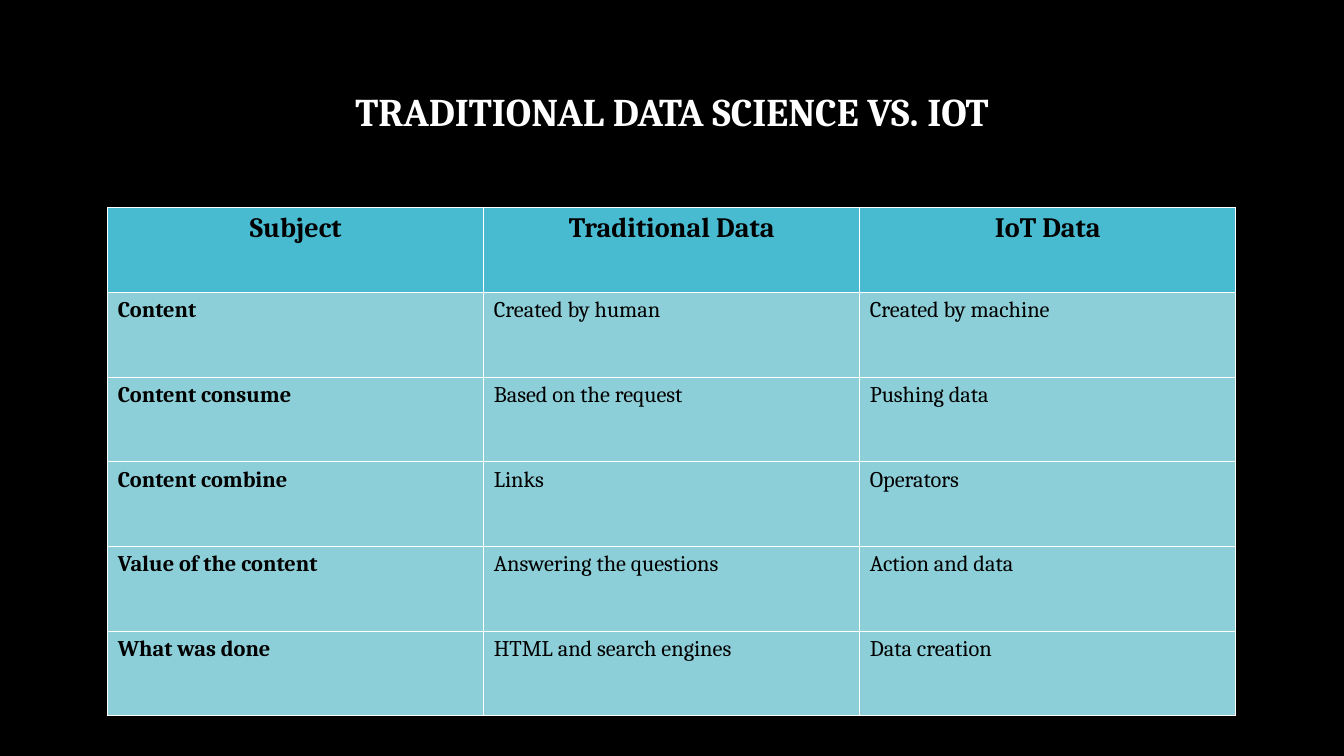
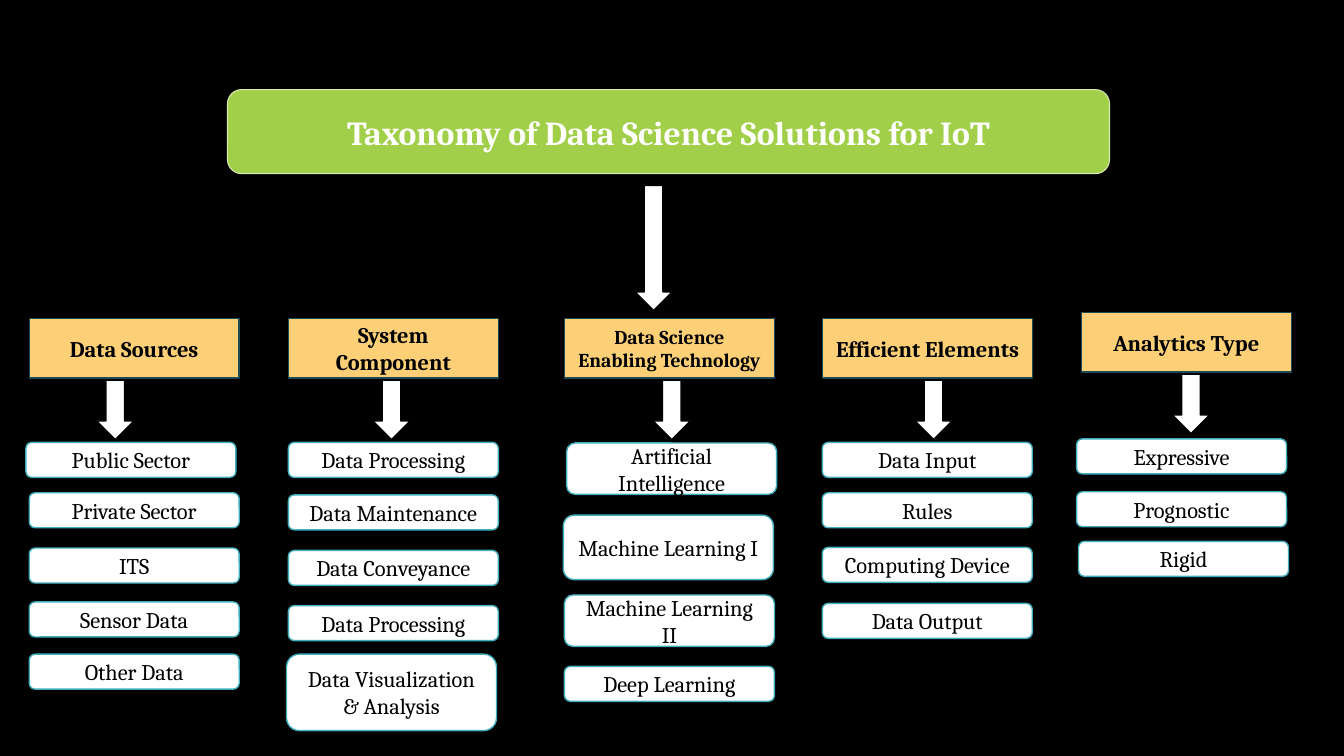
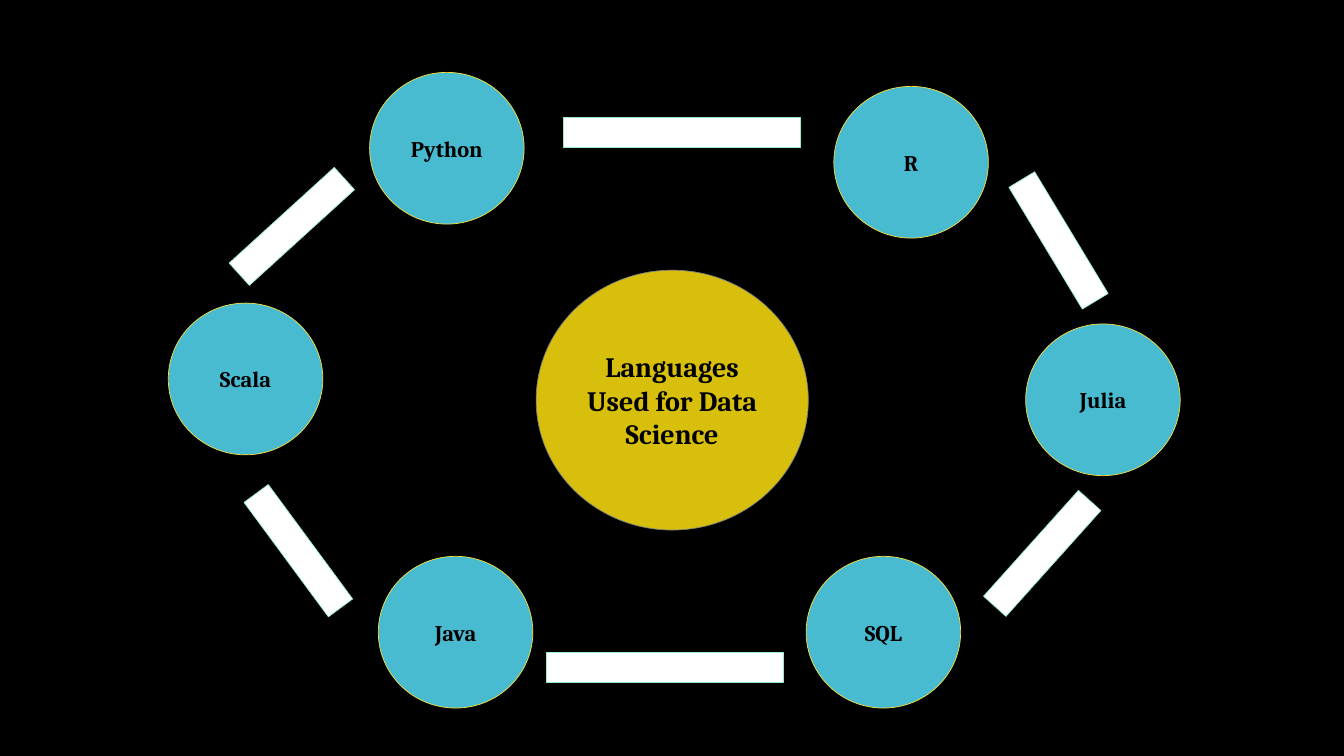
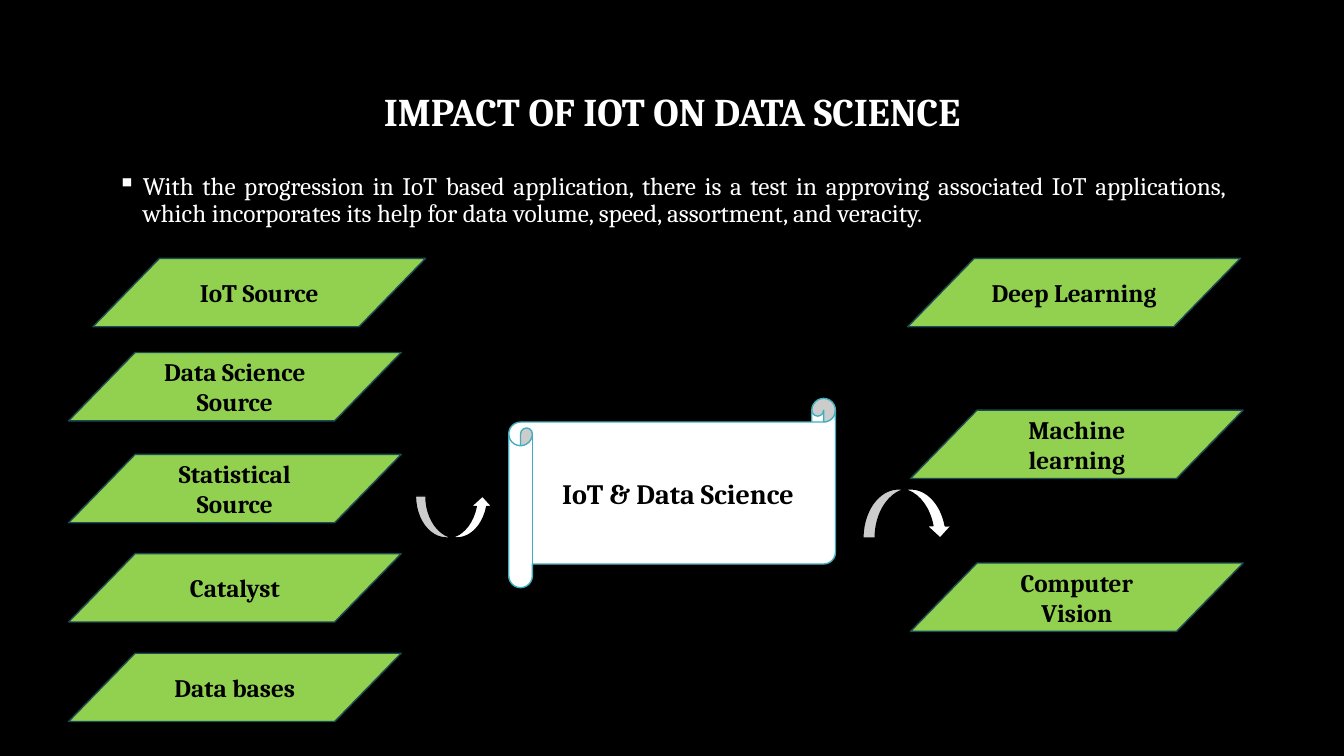
"""Build four slides on data science and the Internet of Things."""
from lxml.etree import SubElement
from pptx import Presentation
from pptx.dml.color import RGBColor
from pptx.enum.shapes import MSO_SHAPE as Shape
from pptx.enum.text import MSO_ANCHOR as Anchor, PP_ALIGN as Align
from pptx.oxml.ns import qn
from pptx.util import Pt

FONT = "Cambria"
BLACK, WHITE = "000000", "FFFFFF"
AQUA, PALE_AQUA, TEAL, DARK_TEAL = "49BBD1", "8DCFD8", "41AEBD", "1C4C53"
GREEN, PALE_GREEN, LIME, ORANGE = "A2CF49", "DAECB6", "92D050", "FDD077"
GOLD, YELLOW, GREY, MINT = "D7BF0C", "F4DE3A", "808080", "97E9D5"
rgb = RGBColor.from_string


def write_text(frame, text, size=16, color=BLACK, bold=False, align=Align.CENTER,
               anchor=Anchor.MIDDLE, spacing=None):
    frame.word_wrap = True
    if anchor is not None:
        frame.vertical_anchor = anchor
    paragraph = frame.paragraphs[0]
    paragraph.alignment = align
    paragraph.line_spacing = spacing
    run = paragraph.add_run()
    run.text = text
    run.font.name = FONT
    run.font.size = Pt(size)
    run.font.bold = bold
    run.font.color.rgb = rgb(color)
    return paragraph


def draw_shape(slide, kind, box, fill, line, width=1, text=None, rotation=0, **style):
    shape = slide.shapes.add_shape(kind, *map(Pt, box))
    shape.shadow.inherit = False
    shape.rotation = rotation
    shape.fill.solid()
    shape.fill.fore_color.rgb = rgb(fill)
    shape.line.color.rgb = rgb(line)
    shape.line.width = Pt(width)
    if text:
        write_text(shape.text_frame, text, **style)


presentation = Presentation()
presentation.slide_width, presentation.slide_height = Pt(960), Pt(540)
background = presentation.slide_master.background.fill
background.solid()
background.fore_color.rgb = rgb(BLACK)
blank = presentation.slide_layouts[6]
comparison, taxonomy, languages, impact = [presentation.slides.add_slide(blank) for _ in range(4)]

for slide, title in [(comparison, "TRADITIONAL DATA SCIENCE VS. IOT"),
                     (impact, "IMPACT OF IOT ON DATA SCIENCE")]:
    title_box = slide.shapes.add_textbox(Pt(66), Pt(29), Pt(828), Pt(104))
    write_text(title_box.text_frame, title, size=28, color=WHITE, bold=True, spacing=0.9)

rows = [
    ("Subject", "Traditional Data", "IoT Data"),
    ("Content", "Created by human", "Created by machine"),
    ("Content consume", "Based on the request", "Pushing data"),
    ("Content combine", "Links", "Operators"),
    ("Value of the content", "Answering the questions", "Action and data"),
    ("What was done", "HTML and search engines", "Data creation"),
]
table = comparison.shapes.add_table(6, 3, Pt(77), Pt(148.4), Pt(805.8), Pt(363)).table
for row_number, row in enumerate(rows):
    header = row_number == 0
    for column_number, text in enumerate(row):
        cell = table.cell(row_number, column_number)
        properties = cell._tc.get_or_add_tcPr()
        for side in ("a:lnL", "a:lnR", "a:lnT", "a:lnB"):
            border = SubElement(properties, qn(side), w=str(Pt(1)))
            SubElement(SubElement(border, qn("a:solidFill")), qn("a:srgbClr"), val=WHITE)
        cell.fill.solid()
        cell.fill.fore_color.rgb = rgb(AQUA if header else PALE_AQUA)
        write_text(cell.text_frame, text, size=20 if header else 16,
                   bold=header or column_number == 0,
                   align=Align.CENTER if header else Align.LEFT, anchor=None)

draw_shape(taxonomy, Shape.ROUNDED_RECTANGLE, (162.5, 64, 630, 60), GREEN, PALE_GREEN, 0.75,
           "Taxonomy of Data Science Solutions for IoT", size=24, color=WHITE, bold=True)
draw_shape(taxonomy, Shape.DOWN_ARROW, (453.6, 132.5, 26.6, 89.3), WHITE, BLACK)
branches = [
    ("Data Sources", 16, 20.9, 227.5, 69.1, [
        ("Public Sector", 18.5, 316, 25), ("Private Sector", 20.9, 352, 25),
        ("ITS", 20.9, 391.5, 25), ("Sensor Data", 20.9, 430, 25),
        ("Other Data", 20.9, 467.3, 25)]),
    ("System Component", 16, 206, 227.5, 266.4, [
        ("Data Processing", 206, 316, 25), ("Data Maintenance", 206, 353.5, 25),
        ("Data Conveyance", 206, 393.2, 25), ("Data Processing", 206, 432.6, 25),
        ("Data Visualization & Analysis", 204.7, 467.3, 54.6)]),
    ("Data Science Enabling Technology", 14, 403.2, 227.5, 466.6, [
        ("Artificial Intelligence", 404.8, 316.4, 36.7), ("Machine Learning I", 402.4, 368, 46),
        ("Machine Learning II", 403.2, 425, 36.7), ("Deep Learning", 403.2, 476, 25)]),
    ("Efficient Elements", 16, 587.6, 227.5, 653.6, [
        ("Data Input", 587.4, 316, 25), ("Rules", 587.4, 352, 25),
        ("Computing Device", 587.4, 391, 25), ("Data Output", 587.4, 431, 25)]),
    ("Analytics Type", 16, 772.4, 223.2, 837.4, [
        ("Expressive", 769, 313.5, 25), ("Prognostic", 769, 351.3, 25),
        ("Rigid", 770.4, 386.7, 25)]),
]
for heading, size, left, top, arrow_left, items in branches:
    draw_shape(taxonomy, Shape.RECTANGLE, (left, top, 150, 42.5), ORANGE, DARK_TEAL,
               text=heading, size=size, bold=True)
    draw_shape(taxonomy, Shape.DOWN_ARROW, (arrow_left, top + 44, 26.6, 42.5), WHITE, BLACK)
    for item, item_left, item_top, height in items:
        draw_shape(taxonomy, Shape.ROUNDED_RECTANGLE, (item_left, item_top, 150, height),
                   WHITE, TEAL, text=item)

draw_shape(languages, Shape.OVAL, (383, 193, 194.4, 185.6), GOLD, GREY, 0.5,
           "Languages Used for Data Science", size=20, bold=True)
for name, left, top in [("Python", 264, 51.7), ("R", 595.6, 61.7), ("Julia", 732.6, 231.4),
                        ("SQL", 575.8, 397.4), ("Java", 270.2, 397.4), ("Scala", 120.2, 216.5)]:
    draw_shape(languages, Shape.OVAL, (left, top, 110.4, 108.4), AQUA, YELLOW, 0.5,
               name, bold=True)
for left, top, width, rotation in [(371.6, 48.8, 230.4, 0), (687, 126, 138.2, 238.9),
                                   (675.4, 349.6, 138.2, 311.9), (359.6, 431, 230.4, 0),
                                   (144, 347.6, 138.2, 233.6), (139.4, 116, 138.2, 317.7)]:
    draw_shape(languages, Shape.MATH_MINUS, (left, top, width, 91.4), WHITE, MINT, 0.5,
               rotation=rotation)

body_box = impact.shapes.add_textbox(Pt(77), Pt(120.2), Pt(805.8), Pt(398))
body = write_text(
    body_box.text_frame,
    "With the progression in IoT based application, there is a test in approving associated IoT "
    "applications, which incorporates its help for data volume, speed, assortment, and veracity.",
    size=18, color=WHITE, align=Align.JUSTIFY, anchor=Anchor.TOP, spacing=0.9)
body_properties = body._p.get_or_add_pPr()
body_properties.set("marL", str(Pt(18)))
body_properties.set("indent", str(Pt(-18)))
SubElement(body_properties, qn("a:buChar"), char="▪")

draw_shape(impact, Shape.HORIZONTAL_SCROLL, (363.4, 284.6, 233.4, 135.2), WHITE, TEAL,
           text="IoT & Data Science", size=20, bold=True)
for text, left, top in [("IoT Source", 66.4, 184.6), ("Data Science Source", 49, 251.8),
                        ("Statistical Source", 49, 324.6), ("Catalyst", 49, 395.5),
                        ("Data bases", 49, 466.6), ("Deep Learning", 648.4, 184.6),
                        ("Machine learning", 650.4, 293), ("Computer Vision", 650.4, 402.2)]:
    draw_shape(impact, Shape.FLOWCHART_DATA, (left, top, 237.6, 48.8), LIME, DARK_TEAL,
               text=text, size=18, bold=True)
draw_shape(impact, Shape.CURVED_UP_ARROW, (296.8, 354.3, 55.4, 30), WHITE, BLACK)
draw_shape(impact, Shape.CURVED_DOWN_ARROW, (616.4, 349.2, 64, 35.2), WHITE, BLACK)

presentation.save("out.pptx")
